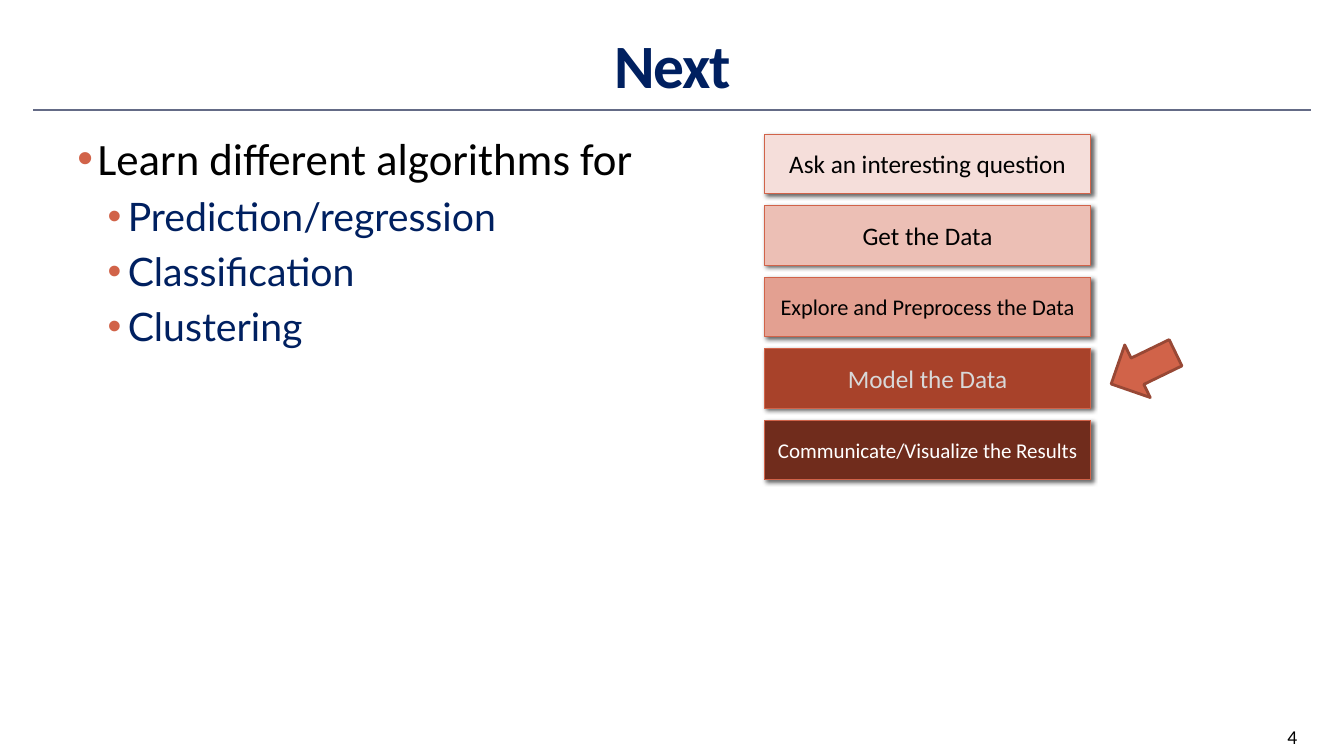
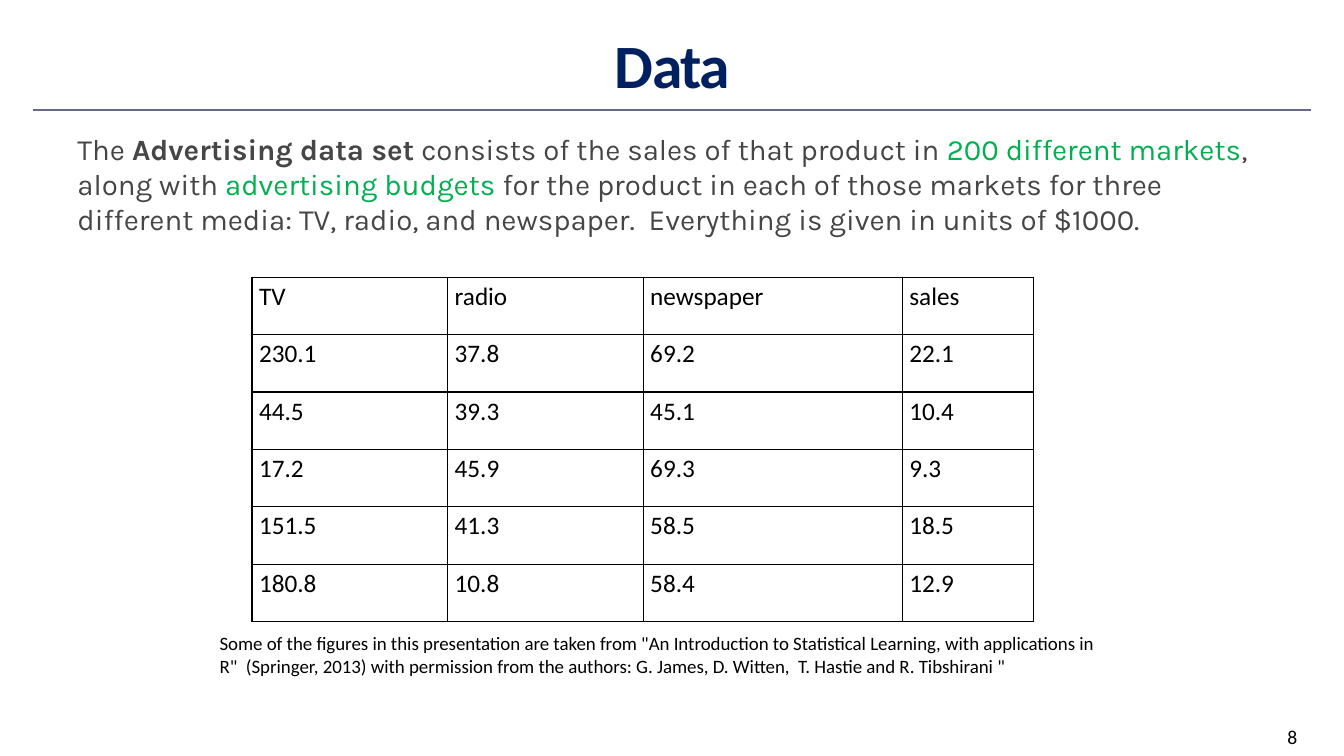
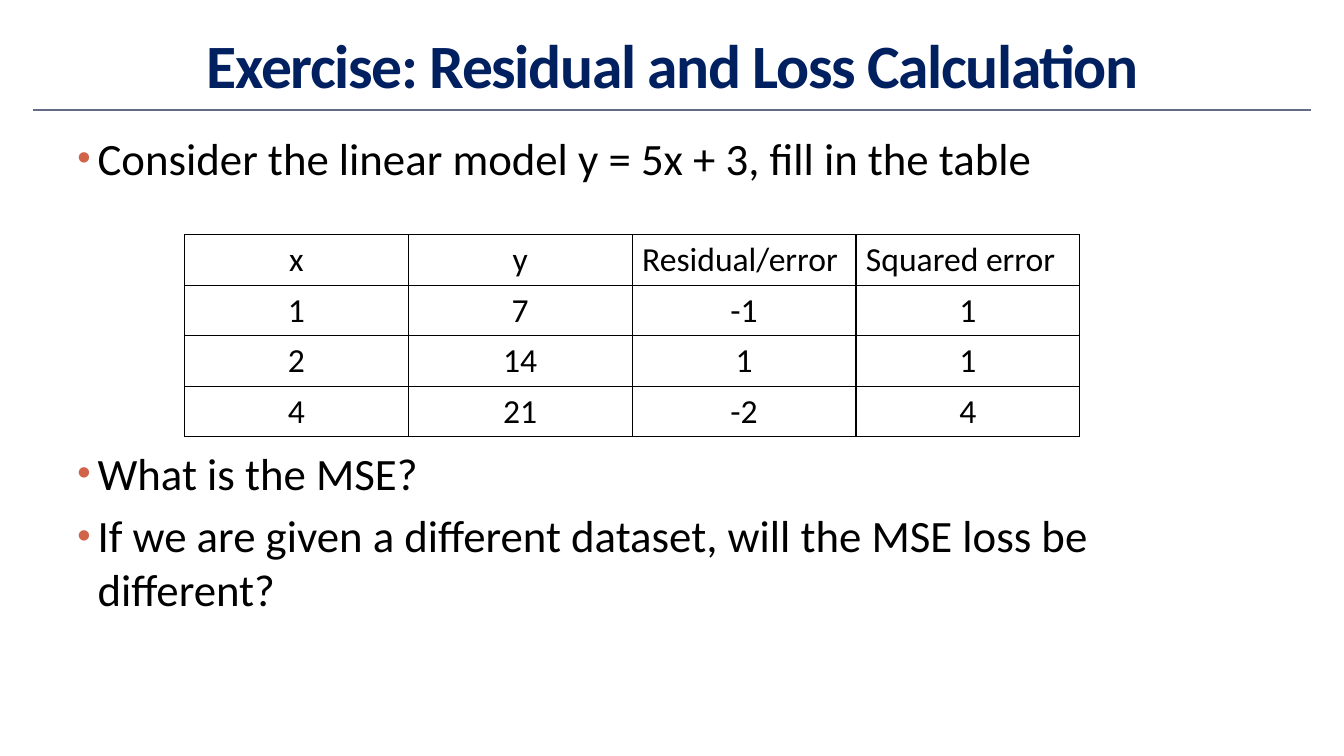
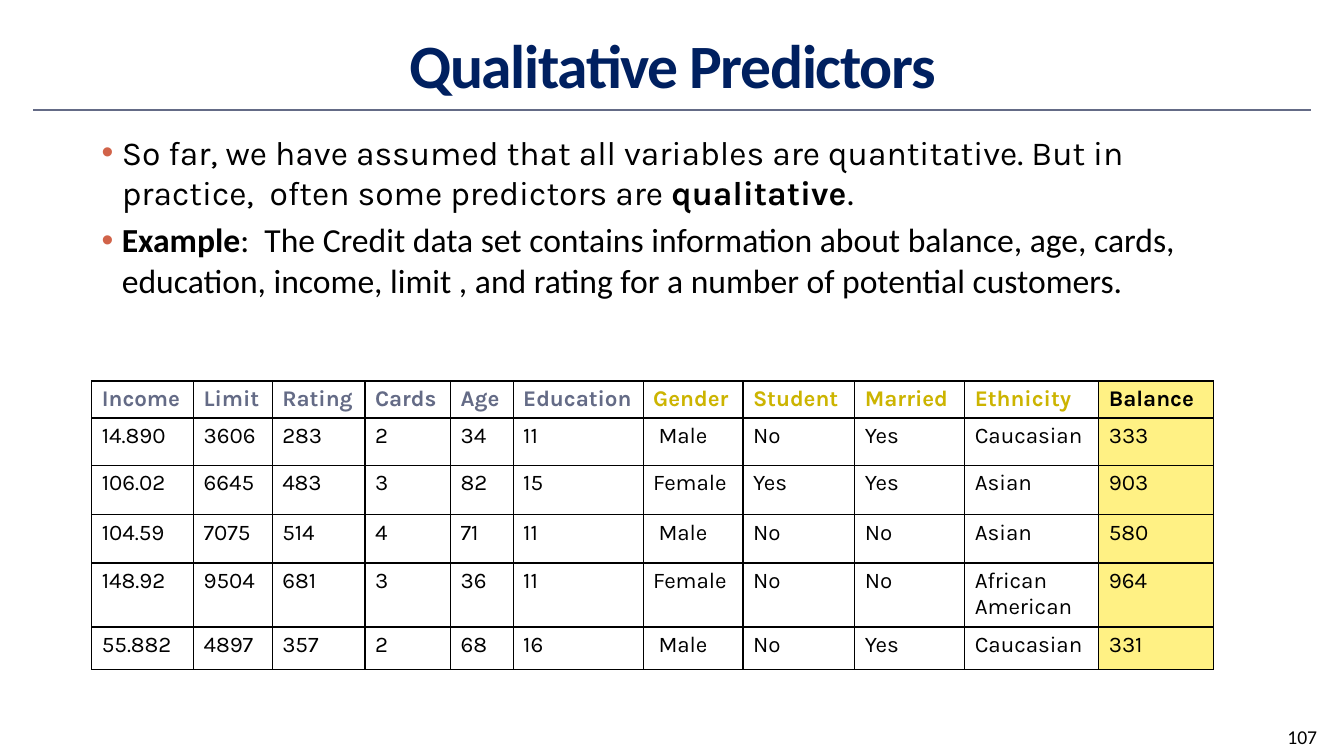
from lxml.etree import SubElement
from pptx import Presentation
from pptx.dml.color import RGBColor
from pptx.enum.shapes import MSO_CONNECTOR as CONN, MSO_SHAPE as SHAPE
from pptx.enum.text import MSO_ANCHOR as ANCHOR, PP_ALIGN as ALIGN
from pptx.oxml.ns import qn
from pptx.util import Inches, Pt

NAVY, SLATE, RUST = "002060", "646B86", "D16349"
BLACK, WHITE, GRAY, GREEN = "000000", "FFFFFF", "464646", "00B050"
GOLD, YELLOW = "CCB400", "FFF184"


def color(hex_code):
    return RGBColor.from_string(hex_code)


def sub(parent, tag, **attrs):
    return SubElement(parent, qn(tag), {k: str(v) for k, v in attrs.items()})


def add_run(p, text, size, font="Calibri", fill=BLACK, bold=False):
    r = p.add_run()
    r.text = text
    r.font.size = Pt(size)
    r.font.name = font
    r.font.bold = bold
    r.font.color.rgb = color(fill)
    return r


def add_slide(prs, title, number=None):
    s = prs.slides.add_slide(prs.slide_layouts[5])
    rule = s.shapes.add_connector(CONN.STRAIGHT, Inches(0.33), Inches(1.09), Inches(13), Inches(1.09))
    rule.line.color.rgb = color(SLATE)
    rule.line.width = Pt(1.5)
    sub(rule.element.spPr, "a:effectLst")

    sp = s.shapes.title
    sp.left, sp.top, sp.width, sp.height = map(Inches, (0.67, 0.17, 12, 0.92))
    tf = sp.text_frame
    tf.vertical_anchor = ANCHOR.MIDDLE
    p = tf.paragraphs[0]
    p.alignment = ALIGN.CENTER
    r = add_run(p, title, 44, fill=NAVY, bold=True)
    r.font._element.set("spc", "-100")

    if number:
        add_text(s, (12.67, 7.14, 0.67, 0.36), [(number, 14)])
    return s


def add_box(s, box):
    tf = s.shapes.add_textbox(*map(Inches, box)).text_frame
    tf.word_wrap = True
    return tf


def add_text(s, box, runs):
    p = add_box(s, box).paragraphs[0]
    for run in runs:
        add_run(p, *run)


def add_bullets(s, box, items, bullet_size=100):
    tf = add_box(s, box)
    for i, (level, runs) in enumerate(items):
        p = tf.add_paragraph() if i else tf.paragraphs[0]
        p.level = level
        pPr = p._p.get_or_add_pPr()
        pPr.set("marL", str(Inches(0.2 + 0.3 * level)))
        pPr.set("indent", str(Inches(-0.2)))
        sub(sub(pPr, "a:buClr"), "a:srgbClr", val=RUST)
        sub(pPr, "a:buSzPct", val=bullet_size * 1000)
        sub(pPr, "a:buFont", typeface="Arial")
        sub(pPr, "a:buChar", char="•")
        if i:
            p.space_before = Pt(runs[0][1] * 0.2)
        for run in runs:
            add_run(p, *run)


def add_step(s, box, text, size, fill, font_color):
    sp = s.shapes.add_shape(SHAPE.RECTANGLE, *map(Inches, box))
    sp.fill.solid()
    sp.fill.fore_color.rgb = color(fill)
    sp.line.color.rgb = color(RUST)
    sp.line.width = Pt(0.75)
    shadow = sub(sub(sp.element.spPr, "a:effectLst"), "a:outerShdw",
                 blurRad=Pt(3), dist=Pt(2), dir=45 * 60000)
    sub(sub(shadow, "a:srgbClr", val=BLACK), "a:alpha", val=60000)
    tf = sp.text_frame
    tf.word_wrap = False
    tf.vertical_anchor = ANCHOR.MIDDLE
    p = tf.paragraphs[0]
    p.alignment = ALIGN.CENTER
    add_run(p, text, size, fill=font_color)


def add_arrow(s, box, rotation):
    sp = s.shapes.add_shape(SHAPE.DOWN_ARROW, *map(Inches, box))
    sp.rotation = rotation
    sp.shadow.inherit = False
    sp.fill.solid()
    sp.fill.fore_color.rgb = color(RUST)
    sp.line.color.rgb = color("984835")
    sp.line.width = Pt(2)


def add_borders(cell):
    tcPr = cell._tc.get_or_add_tcPr()
    for i, side in enumerate(("a:lnL", "a:lnR", "a:lnT", "a:lnB")):
        ln = tcPr.makeelement(qn(side), {"w": str(Pt(1))})
        sub(sub(ln, "a:solidFill"), "a:srgbClr", val=BLACK)
        tcPr.insert(i, ln)


def add_table(s, left, top, widths, heights, rows, style, margins=(0.1, 0.05)):
    table = s.shapes.add_table(len(rows), len(widths), Inches(left), Inches(top),
                               Inches(sum(widths)), Inches(sum(heights))).table
    for column, width in zip(table.columns, widths):
        column.width = Inches(width)
    for i, (row, height) in enumerate(zip(rows, heights)):
        table.rows[i].height = Inches(height)
        for j, text in enumerate(row):
            look = style(i, j)
            cell = table.cell(i, j)
            cell.margin_left = cell.margin_right = Inches(margins[0])
            cell.margin_top = cell.margin_bottom = Inches(margins[1])
            cell.vertical_anchor = look.get("anchor", ANCHOR.TOP)
            if "cell_fill" in look:
                cell.fill.solid()
                cell.fill.fore_color.rgb = color(look["cell_fill"])
            else:
                cell.fill.background()
            add_borders(cell)
            p = cell.text_frame.paragraphs[0]
            p.alignment = look.get("align", ALIGN.LEFT)
            add_run(p, text, *look["run"])


def next_slide(prs):
    s = add_slide(prs, "Next", "4")
    topics = ["Prediction/regression", "Classification", "Clustering"]
    add_bullets(s, (0.67, 1.25, 6.8, 5.83),
                [(0, [("Learn different algorithms for", 32)])]
                + [(1, [(topic, 28, "Lato", NAVY)]) for topic in topics])
    steps = [
        ("Ask an interesting question", 18, "F5DEDA", BLACK),
        ("Get the Data", 18, "ECBFB5", BLACK),
        ("Explore and Preprocess the Data", 16, "E3A091", BLACK),
        ("Model the Data", 18, "A8422A", "D8D8D8"),
        ("Communicate/Visualize the Results", 15, "702C1C", WHITE),
    ]
    for i, step in enumerate(steps):
        add_step(s, (7.58, 1.33 + 0.71 * i, 3.24, 0.59), *step)
    add_arrow(s, (11.05, 3.3, 0.58, 0.71), 64.1)


def data_slide(prs):
    s = add_slide(prs, "Data", "8")
    rows = [
        ("TV", "radio", "newspaper", "sales"),
        ("230.1", "37.8", "69.2", "22.1"),
        ("44.5", "39.3", "45.1", "10.4"),
        ("17.2", "45.9", "69.3", "9.3"),
        ("151.5", "41.3", "58.5", "18.5"),
        ("180.8", "10.8", "58.4", "12.9"),
    ]
    add_table(s, 2.5, 2.75, (1.94, 1.94, 2.57, 1.3), [0.57] * 6, rows,
              lambda i, j: {"run": (18,)}, (0.07, 0.04))
    gray, green = (21, "Karla", GRAY), (21, "Karla", GREEN)
    add_text(s, (0.67, 1.25, 11.92, 1.3), [
        ("The ", *gray),
        ("Advertising data set", *gray, True),
        (" consists of the sales of that product in ", *gray),
        ("200 different markets", *green),
        (", along with ", *gray),
        ("advertising budgets ", *green),
        ("for the product in each of those markets for three different media: "
         "TV, radio, and newspaper.  Everything is given in units of $1000.", *gray),
    ])
    add_text(s, (2.08, 6.22, 8.93, 0.78), [
        ('Some of the figures in this presentation are taken from "An Introduction to '
         'Statistical Learning, with applications in R"  (Springer, 2013) with permission '
         'from the authors: G. James, D. Witten,  T. Hastie and R. Tibshirani "', 13.5)])


def exercise_slide(prs):
    s = add_slide(prs, "Exercise: Residual and Loss Calculation")
    add_bullets(s, (0.67, 1.25, 12, 0.8), [
        (0, [("Consider the linear model y = 5x + 3, fill in the table", 32)])], 85)
    add_bullets(s, (0.67, 4.37, 12, 2.7), [
        (0, [("What is the MSE?", 32)]),
        (0, [("If we are given a different dataset, will the MSE loss be different?", 32)])], 85)
    rows = [
        ("x", "y", "Residual/error", "Squared error"),
        ("1", "7", "-1", "1"),
        ("2", "14", "1", "1"),
        ("4", "21", "-2", "4"),
    ]

    def style(i, j):
        return {"run": (24,), "align": ALIGN.LEFT if i == 0 and j > 1 else ALIGN.CENTER}

    add_table(s, 1.83, 2.33, [2.22] * 4, [0.5] * 4, rows, style)


def predictors_slide(prs):
    s = add_slide(prs, "Qualitative Predictors", "107")
    add_bullets(s, (0.91, 1.26, 11.51, 2.45), [
        (0, [("So far, we have assumed that all variables are quantitative. But in practice,  "
              "often some predictors are ", 24, "Karla"),
             ("qualitative", 24, "Karla", BLACK, True),
             (".", 24)]),
        (0, [("Example", 24, "Calibri", BLACK, True),
             (":  The Credit data set contains information about balance, age, cards, education, "
              "income, limit , and rating for a number of potential customers.", 24)]),
    ])
    rows = [
        ("Income", "Limit", "Rating", "Cards", "Age", "Education",
         "Gender", "Student", "Married", "Ethnicity", "Balance"),
        ("14.890", "3606", "283", "2", "34", "11", " Male", "No", "Yes", "Caucasian", "333"),
        ("106.02", "6645", "483", "3", "82", "15", "Female", "Yes", "Yes", "Asian", "903"),
        ("104.59", "7075", "514", "4", "71", "11", " Male", "No", "No", "Asian", "580"),
        ("148.92", "9504", "681", "3", "36", "11", "Female", "No", "No", "African American", "964"),
        ("55.882", "4897", "357", "2", "68", "16", " Male", "No", "Yes", "Caucasian", "331"),
    ]
    header_colors = [SLATE] * 6 + [GOLD] * 4 + [BLACK]

    def style(i, j):
        header = i == 0
        look = {"run": (16, "Karla", header_colors[j] if header else BLACK, header)}
        if header:
            look["anchor"] = ANCHOR.MIDDLE
        if j == 10:
            look["cell_fill"] = YELLOW
        return look

    widths = (1.01, 0.78, 0.92, 0.85, 0.62, 1.29, 0.99, 1.11, 1.09, 1.33, 1.14)
    add_table(s, 0.91, 3.78, widths, (0.36, 0.47, 0.49, 0.48, 0.62, 0.42), rows, style)


def main():
    prs = Presentation()
    prs.slide_width, prs.slide_height = Inches(13.33), Inches(7.5)
    for build in (next_slide, data_slide, exercise_slide, predictors_slide):
        build(prs)
    prs.save("out.pptx")


if __name__ == "__main__":
    main()
